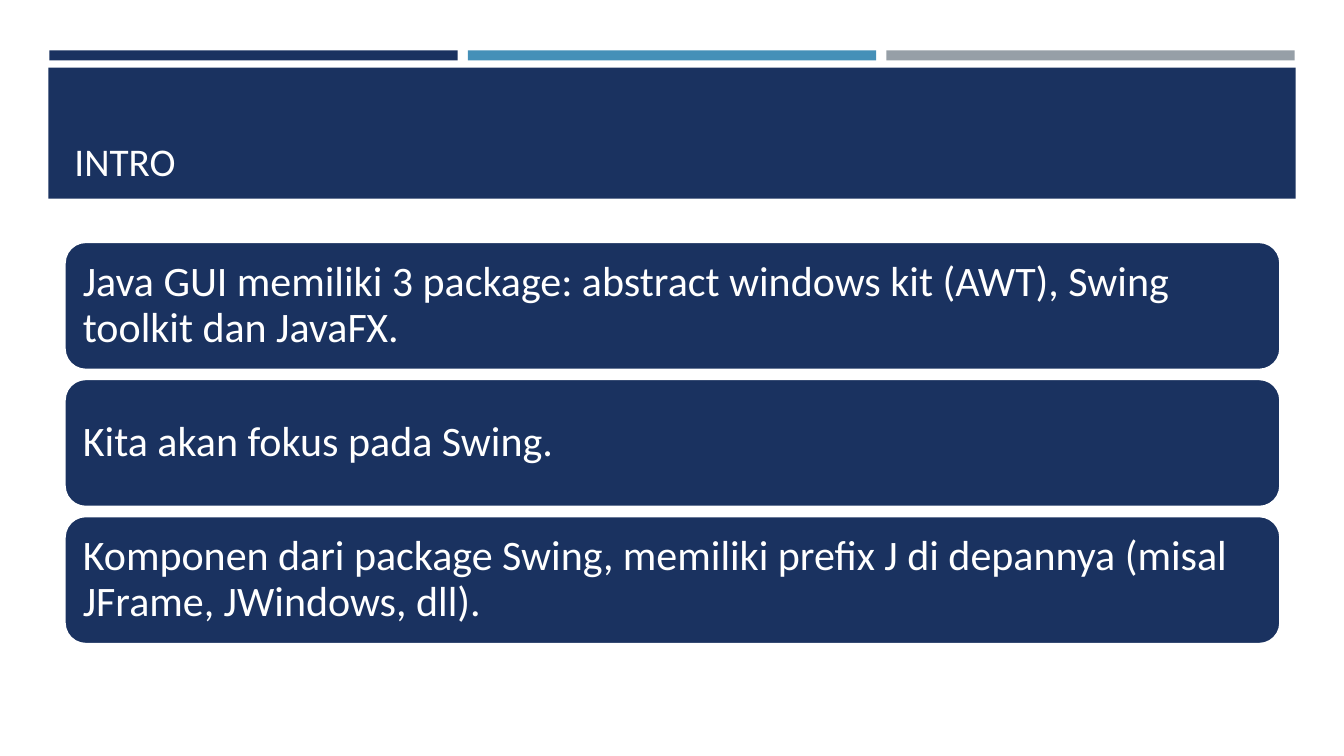
"""Builds the Swing introduction slide with a title band and three statement cards."""
from pptx import Presentation
from pptx.dml.color import RGBColor
from pptx.enum.shapes import MSO_SHAPE
from pptx.enum.text import MSO_ANCHOR, PP_ALIGN
from pptx.util import Inches, Pt

RECT = MSO_SHAPE.RECTANGLE
ROUNDED = MSO_SHAPE.ROUNDED_RECTANGLE
BOTTOM = MSO_ANCHOR.BOTTOM
MIDDLE = MSO_ANCHOR.MIDDLE
LEFT = PP_ALIGN.LEFT

NAVY = RGBColor(0x1A, 0x32, 0x60)
BLUE = RGBColor(0x45, 0x90, 0xB8)
GRAY = RGBColor(0x96, 0x9F, 0xA7)
WHITE = RGBColor(0xFF, 0xFF, 0xFF)

STATEMENTS = (
    "Java GUI memiliki 3 package: abstract windows kit (AWT), Swing toolkit dan JavaFX.",
    "Kita akan fokus pada Swing.",
    "Komponen dari package Swing, memiliki prefix J di depannya (misal JFrame, JWindows, dll).",
)


class SlideBuilder:
    """Holds the slide and its text style."""

    font_name = "Calibri"
    text_color = WHITE

    def __init__(self, slide):
        self.slide = slide

    def block(self, kind, left, top, width, height, fill):
        """Adds a filled shape without outline."""
        block = self.slide.shapes.add_shape(
            kind, Inches(left), Inches(top), Inches(width), Inches(height))
        block.shadow.inherit = False
        block.fill.solid()
        block.fill.fore_color.rgb = fill
        block.line.fill.background()
        return block

    def set_text(self, frame, text, size, anchor):
        """Fills a frame with one left-aligned paragraph."""
        frame.word_wrap = True
        frame.vertical_anchor = anchor
        paragraph = frame.paragraphs[0]
        paragraph.text = text
        paragraph.alignment = LEFT
        paragraph.font.name = self.font_name
        paragraph.font.size = Pt(size)
        paragraph.font.color.rgb = self.text_color
        return paragraph

    def title(self, text, left, top, width, height):
        """Adds the title text."""
        title = self.slide.shapes.add_textbox(
            Inches(left), Inches(top), Inches(width), Inches(height))
        self.set_text(title.text_frame, text, 28, BOTTOM)

    def card(self, text, left, top, width, height):
        """Adds a rounded card with a statement."""
        card = self.block(ROUNDED, left, top, width, height, NAVY)
        card.line.color.rgb = WHITE
        card.line.width = Pt(1.75)
        frame = card.text_frame
        frame.margin_left = frame.margin_right = Inches(0.12)
        frame.margin_top = frame.margin_bottom = Inches(0.12)
        self.set_text(frame, text, 30, MIDDLE).line_spacing = 0.9


def main():
    """Builds and saves the slide."""
    deck = Presentation()
    deck.slide_width = Inches(13.33)
    deck.slide_height = Inches(7.5)
    builder = SlideBuilder(deck.slides.add_slide(deck.slide_layouts[6]))

    for column, color in enumerate((NAVY, BLUE, GRAY)):
        builder.block(RECT, 0.49 + column * 4.15, 0.5, 4.05, 0.1, color)
    builder.block(RECT, 0.48, 0.67, 12.37, 1.3, NAVY)
    builder.title("INTRO", 0.64, 0.77, 12.06, 1.11)

    for row, statement in enumerate(STATEMENTS):
        builder.card(statement, 0.64, 2.4 + row * 1.36, 12.06, 1.27)

    deck.save("out.pptx")


if __name__ == "__main__":
    main()
